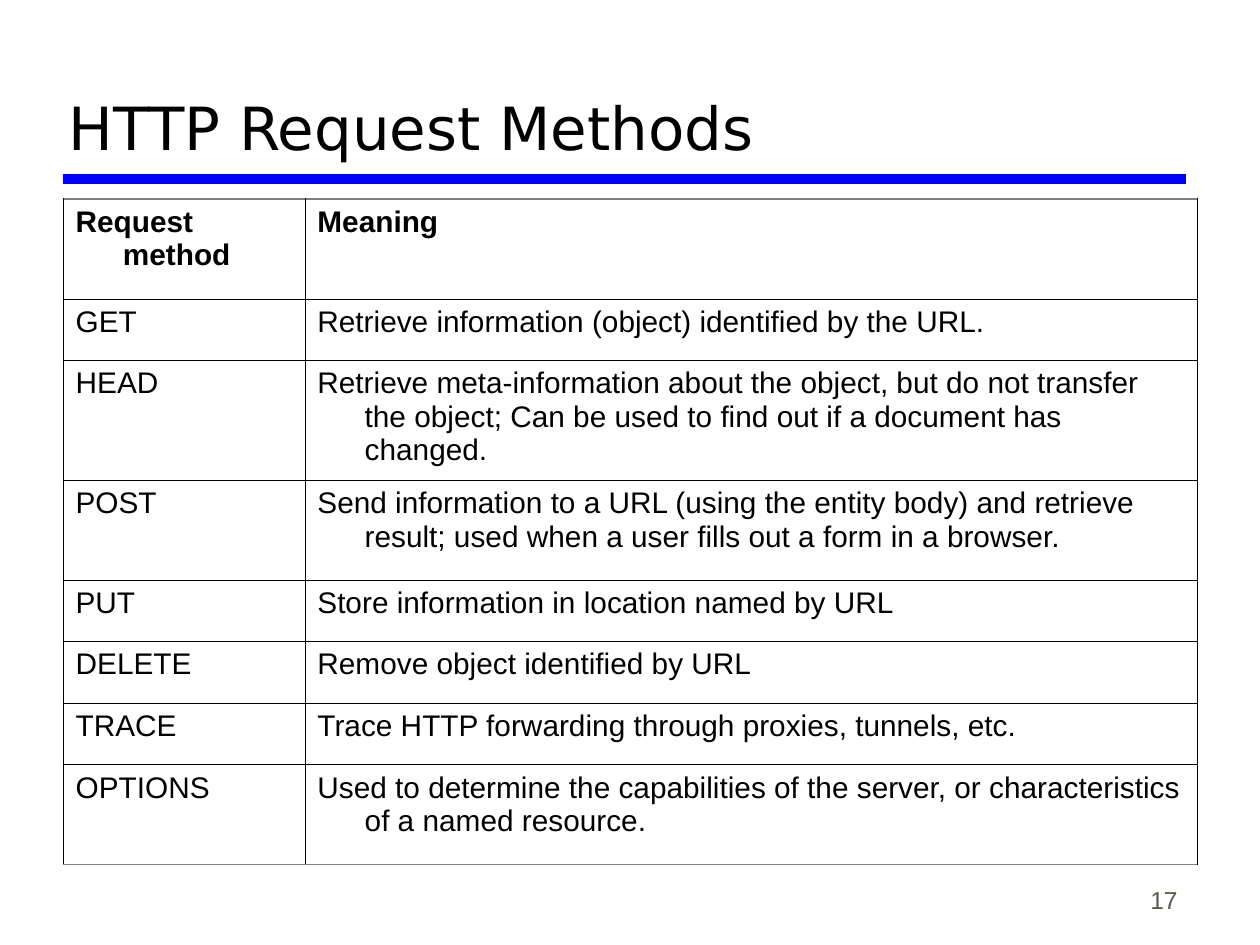
from lxml.etree import SubElement
from pptx import Presentation
from pptx.dml.color import RGBColor
from pptx.enum.shapes import MSO_CONNECTOR
from pptx.enum.text import MSO_ANCHOR, PP_ALIGN
from pptx.oxml.ns import qn
from pptx.util import Pt

BLACK = RGBColor(0x00, 0x00, 0x00)
BLUE = RGBColor(0x00, 0x00, 0xFF)
GRAY = RGBColor(0x80, 0x80, 0x80)
BROWN = RGBColor(0x5E, 0x57, 0x4E)

METHODS = [
    ("Request method", "Meaning"),
    ("GET", "Retrieve information (object) identified by the URL."),
    ("HEAD", "Retrieve meta-information about the object, but do not transfer "
             "the object; Can be used to find out if a document has changed."),
    ("POST", "Send information to a URL (using the entity body) and retrieve "
             "result; used when a user fills out a form in a browser."),
    ("PUT", "Store information in location named by URL"),
    ("DELETE", "Remove object identified by URL"),
    ("TRACE", "Trace HTTP forwarding through proxies, tunnels, etc."),
    ("OPTIONS", "Used to determine the capabilities of the server, or "
                "characteristics of a named resource."),
]
ONE_LINE, TWO_LINES, THREE_LINES = 35.2, 57, 68.4
ROW_HEIGHTS = [TWO_LINES, ONE_LINE, THREE_LINES, TWO_LINES,
               ONE_LINE, ONE_LINE, ONE_LINE, TWO_LINES]
COLUMN_WIDTHS = [138.2, 509.8]


def add_text(page, text, left, top, width, height, font, size, color, align):
    box = page.shapes.add_textbox(Pt(left), Pt(top), Pt(width), Pt(height))
    frame = box.text_frame
    frame.word_wrap = True
    frame.vertical_anchor = MSO_ANCHOR.BOTTOM
    frame.text = text
    paragraph = frame.paragraphs[0]
    paragraph.alignment = align
    span = paragraph.runs[0]
    span.font.name = font
    span.font.size = Pt(size)
    span.font.color.rgb = color


def add_border(cell, side, color, width):
    properties = cell._tc.get_or_add_tcPr()
    line = SubElement(properties, qn(f"a:ln{side}"), w=str(Pt(width)))
    fill = SubElement(line, qn("a:solidFill"))
    SubElement(fill, qn("a:srgbClr"), val=str(color))


deck = Presentation()
deck.slide_width, deck.slide_height = Pt(720), Pt(540)
page = deck.slides.add_slide(deck.slide_layouts[6])

# Rule under the title
rule = page.shapes.add_connector(
    MSO_CONNECTOR.STRAIGHT, Pt(36), Pt(102.2), Pt(678), Pt(102.2))
rule.line.color.rgb = BLUE
rule.line.width = Pt(6)
SubElement(rule._element.spPr, qn("a:effectLst"))

# Slide number and title
add_text(page, "17", 530, 490.3, 150, 36, "Arial", 14, BROWN, PP_ALIGN.RIGHT)
add_text(page, "HTTP Request Methods", 32, 12.2, 646, 84.2,
         "DejaVu Sans", 34, BLACK, PP_ALIGN.LEFT)

# Table of request methods
table = page.shapes.add_table(
    len(METHODS), len(COLUMN_WIDTHS), Pt(36), Pt(113.8),
    Pt(sum(COLUMN_WIDTHS)), Pt(sum(ROW_HEIGHTS))).table
table.first_row = False
table.horz_banding = False
for column, width in zip(table.columns, COLUMN_WIDTHS):
    column.width = Pt(width)
for row, height in zip(table.rows, ROW_HEIGHTS):
    row.height = Pt(height)

last = len(METHODS) - 1
for row_index, texts in enumerate(METHODS):
    for column_index, text in enumerate(texts):
        cell = table.cell(row_index, column_index)
        cell.text_frame.text = text
        paragraph = cell.text_frame.paragraphs[0]
        # Hanging indent for wrapped lines
        indents = paragraph._p.get_or_add_pPr()
        indents.set("marL", str(Pt(27)))
        indents.set("indent", str(Pt(-27)))
        span = paragraph.runs[0]
        span.font.name = "Arial"
        span.font.size = Pt(17)
        span.font.bold = row_index == 0
        span.font.color.rgb = BLACK
        # Thin black grid, gray outer edge at top and bottom
        for side in "LRTB":
            outer = (side, row_index) in (("T", 0), ("B", last))
            add_border(cell, side, GRAY if outer else BLACK,
                       0.96 if outer else 0.34)
        cell.fill.background()

deck.save("out.pptx")
